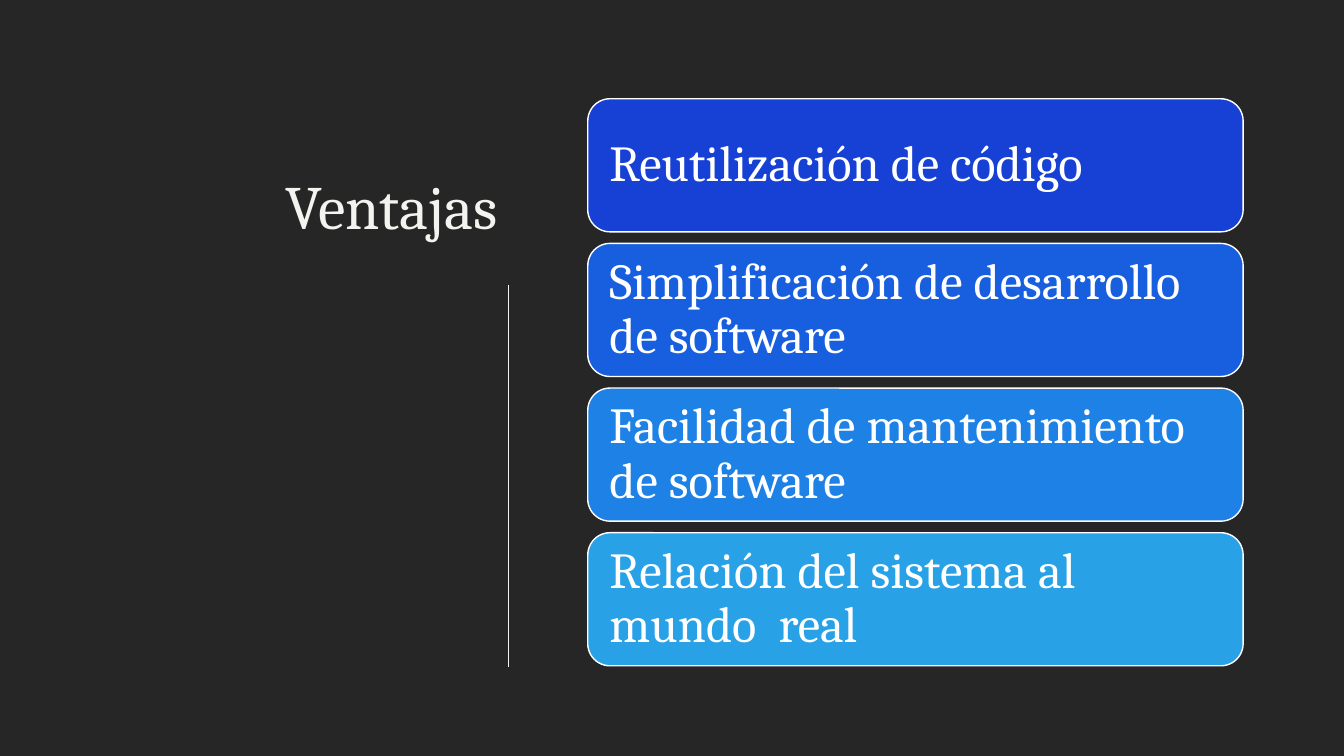
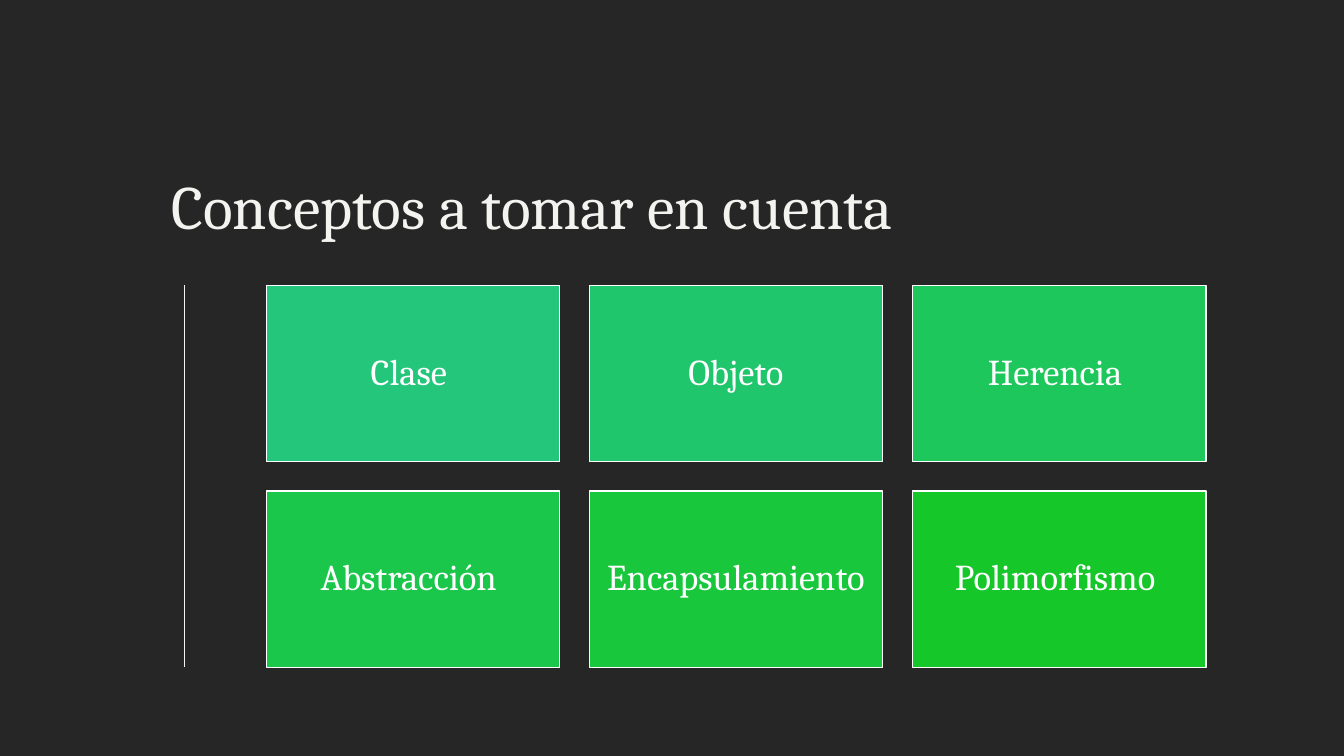
from pptx import Presentation
from pptx.dml.color import RGBColor
from pptx.enum.shapes import MSO_CONNECTOR, MSO_SHAPE
from pptx.enum.text import MSO_ANCHOR, PP_ALIGN
from pptx.oxml.ns import qn
from pptx.util import Inches, Pt
from lxml import etree

RECT, ROUND = MSO_SHAPE.RECTANGLE, MSO_SHAPE.ROUNDED_RECTANGLE
LEFT, CENTER, RIGHT = PP_ALIGN.LEFT, PP_ALIGN.CENTER, PP_ALIGN.RIGHT
MIDDLE, BOTTOM = MSO_ANCHOR.MIDDLE, MSO_ANCHOR.BOTTOM

# Content: (text, fill)
ADVANTAGES = [
    ("Reutilización de código", "1740D5"),
    ("Simplificación de desarrollo de software", "185FE0"),
    ("Facilidad de mantenimiento de software", "1E81E6"),
    ("Relación del sistema al mundo  real", "29A1E7"),
]
CONCEPTS = [
    ("Clase ", "23C67A"),
    ("Objeto", "20C66B"),
    ("Herencia ", "1EC75B"),
    ("Abstracción ", "1BC74B"),
    ("Encapsulamiento", "18C73B"),
    ("Polimorfismo ", "16C72A"),
]

# Shared style
FONT = "Cambria"
BACKGROUND, TITLE_COLOR, WHITE = "262626", "F3F3F0", "FFFFFF"
RULE_TOP, RULE_BOTTOM = 2.83, 6.62


def rgb(value):
    return RGBColor.from_string(value)


def write(shape, text, size, color, align, anchor):
    tf = shape.text_frame
    tf.word_wrap = True
    tf.vertical_anchor = anchor
    p = tf.paragraphs[0]
    p.text = text
    p.alignment = align
    p.line_spacing = 0.9
    p.font.name, p.font.size = FONT, Pt(size)
    p.font.color.rgb = rgb(color)
    return tf


def add_slide(prs, title, box, align, rule_x):
    """Dark slide with a title and a thin vertical rule."""
    s = prs.slides.add_slide(prs.slide_layouts[6])
    s.background.fill.solid()
    s.background.fill.fore_color.rgb = rgb(BACKGROUND)
    title_box = s.shapes.add_textbox(*map(Inches, box))
    write(title_box, title, 44, TITLE_COLOR, align, BOTTOM)
    rule = s.shapes.add_connector(
        MSO_CONNECTOR.STRAIGHT, Inches(rule_x), Inches(RULE_TOP),
        Inches(rule_x), Inches(RULE_BOTTOM))
    rule.line.color.rgb = rgb(TITLE_COLOR)
    rule.line.width = Pt(0.85)
    etree.SubElement(rule._element.spPr, qn("a:effectLst"))
    return s


def add_cards(s, cards, kind, origin, size, step, columns, font_size, align, inset):
    """Filled cards laid out row by row on a regular grid."""
    for i, (text, fill) in enumerate(cards):
        row, col = divmod(i, columns)
        sp = s.shapes.add_shape(
            kind, Inches(origin[0] + col * step[0]), Inches(origin[1] + row * step[1]),
            Inches(size[0]), Inches(size[1]))
        sp.shadow.inherit = False
        sp.fill.solid()
        sp.fill.fore_color.rgb = rgb(fill)
        sp.line.color.rgb = rgb(WHITE)
        sp.line.width = Pt(1)
        tf = write(sp, text, font_size, WHITE, align, MIDDLE)
        tf.margin_left = tf.margin_right = Inches(inset)
        tf.margin_top = tf.margin_bottom = Inches(inset)


def main():
    prs = Presentation()
    prs.slide_width, prs.slide_height = Inches(13.33), Inches(7.5)

    # Advantages: one column of rounded bars
    s = add_slide(prs, "Ventajas ", (0.86, 0.88, 4.31, 1.58), RIGHT, 5.04)
    add_cards(s, ADVANTAGES, ROUND, (5.83, 0.98), (6.5, 1.32), (0, 1.435),
              1, 36, LEFT, 0.15)

    # Concepts: three by two tiles
    s = add_slide(prs, "Conceptos a tomar en cuenta", (1.6, 0.96, 8.32, 1.5), LEFT, 1.83)
    add_cards(s, CONCEPTS, RECT, (2.64, RULE_TOP), (2.91, 1.75), (3.205, 2.04),
              3, 26, CENTER, 0.11)

    prs.save("out.pptx")


if __name__ == "__main__":
    main()
